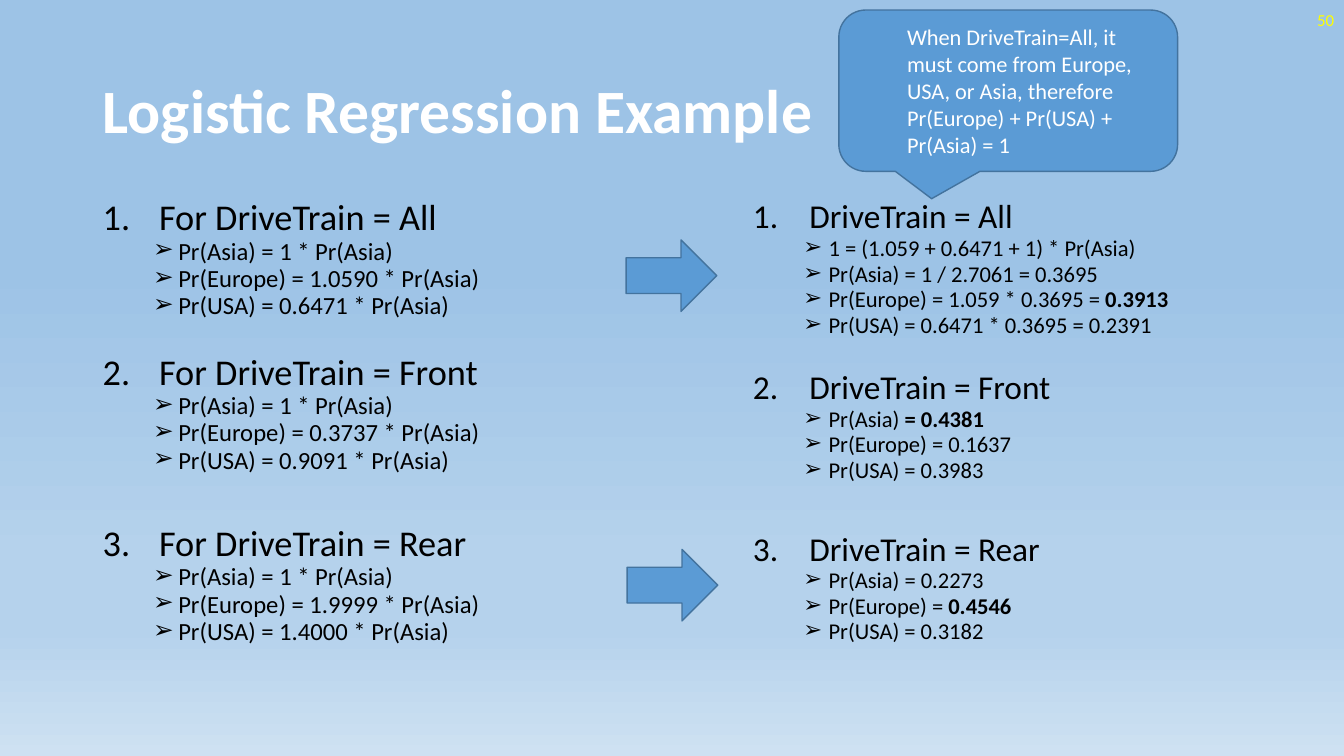
from dataclasses import dataclass

from lxml.etree import SubElement
from pptx import Presentation
from pptx.dml.color import RGBColor
from pptx.enum.shapes import MSO_SHAPE as Shape
from pptx.enum.text import MSO_ANCHOR as Anchor, PP_ALIGN as Align
from pptx.oxml.ns import qn
from pptx.util import Pt

PX = 9144


@dataclass(frozen=True)
class Theme:
    font: str = "Calibri"
    white: str = "FFFFFF"
    black: str = "000000"
    yellow: str = "FFFF00"
    fill: str = "5B9BD5"
    line: str = "43739E"
    backdrop: tuple = ((35, "9DC3E6"), (74, "B5D2EC"), (83, "B5D2EC"), (100, "CEE1F2"))
    title: float = 44
    callout: float = 16
    number: float = 12


@dataclass(frozen=True)
class ListStyle:
    heading: float
    item: float
    heading_gaps: tuple
    item_gap: float


THEME = Theme()
RATIO_STYLE = ListStyle(25.9, 17.6, (0, 30, 42), 4.7)
RESULT_STYLE = ListStyle(23.8, 16.1, (0, 28.8, 40.3), 4.8)

RATIOS = [
    (f"For DriveTrain = {drive}", [
        ("Pr(Asia) = 1 * Pr(Asia)", ""),
        (f"Pr(Europe) = {europe} * Pr(Asia)", ""),
        (f"Pr(USA) = {usa} * Pr(Asia)", ""),
    ])
    for drive, europe, usa in [
        ("All", "1.0590", "0.6471"),
        ("Front", "0.3737", "0.9091"),
        ("Rear", "1.9999", "1.4000"),
    ]
]
RESULTS = [
    ("DriveTrain = All", [
        ("1 = (1.059 + 0.6471 + 1) * Pr(Asia)", ""),
        ("Pr(Asia) = 1 / 2.7061 = 0.3695", ""),
        ("Pr(Europe) = 1.059 * 0.3695 = ", "0.3913"),
        ("Pr(USA) = 0.6471 * 0.3695 = 0.2391", ""),
    ]),
    ("DriveTrain = Front", [
        ("Pr(Asia) ", "= 0.4381"),
        ("Pr(Europe) = 0.1637", ""),
        ("Pr(USA) = 0.3983", ""),
    ]),
    ("DriveTrain = Rear", [
        ("Pr(Asia) = 0.2273", ""),
        ("Pr(Europe) = ", "0.4546"),
        ("Pr(USA) = 0.3182", ""),
    ]),
]
CALLOUT = ("When DriveTrain=All, it must come from Europe, USA, or Asia, "
           "therefore Pr(Europe) + Pr(USA) + Pr(Asia) = 1")


def emu(box):
    return [length * PX for length in box]


def style_runs(paragraph, size, color, bold=False):
    for run in paragraph.runs:
        run.font.name = THEME.font
        run.font.size = Pt(size)
        run.font.bold = bold
        run.font.color.rgb = RGBColor.from_string(color)


def set_indent(paragraph, left, first):
    properties = paragraph._p.get_or_add_pPr()
    properties.set("marL", str(left * PX))
    properties.set("indent", str(first * PX))
    return properties


def paint_background(slide):
    fill = slide.background.fill
    fill.gradient()
    fill.gradient_angle = 270
    stops = next(slide.element.iter(qn("a:gsLst")))
    stops.clear()
    for position, color in THEME.backdrop:
        stop = SubElement(stops, qn("a:gs"), pos=str(position * 1000))
        SubElement(stop, qn("a:srgbClr"), val=color)


def add_text(slide, box, anchor=Anchor.TOP):
    frame = slide.shapes.add_textbox(*emu(box)).text_frame
    frame.word_wrap = True
    frame.vertical_anchor = anchor
    return frame


def add_title(slide, box):
    frame = add_text(slide, box, Anchor.MIDDLE)
    frame.text = "Logistic Regression Example"
    paragraph = frame.paragraphs[0]
    paragraph.line_spacing = 0.9
    style_runs(paragraph, THEME.title, THEME.white, True)


def add_slide_number(slide, box):
    frame = add_text(slide, box, Anchor.MIDDLE)
    frame.text = "50"
    paragraph = frame.paragraphs[0]
    paragraph.alignment = Align.RIGHT
    style_runs(paragraph, THEME.number, THEME.yellow)


def add_blue_shape(slide, kind, box):
    shape = slide.shapes.add_shape(kind, *emu(box))
    shape.shadow.inherit = False
    shape.fill.solid()
    shape.fill.fore_color.rgb = RGBColor.from_string(THEME.fill)
    shape.line.color.rgb = RGBColor.from_string(THEME.line)
    shape.line.width = Pt(1)
    return shape


def add_callout(slide, box):
    shape = add_blue_shape(slide, Shape.ROUNDED_RECTANGULAR_CALLOUT, box)
    for index, value in enumerate((-0.226, 0.67, 0.167)):
        shape.adjustments[index] = value
    frame = shape.text_frame
    frame.word_wrap = True
    frame.vertical_anchor = Anchor.MIDDLE
    frame.text = CALLOUT
    paragraph = frame.paragraphs[0]
    paragraph.alignment = Align.LEFT
    paragraph.level = 1
    set_indent(paragraph, 50, 0)
    style_runs(paragraph, THEME.callout, THEME.white)


def add_heading(paragraph, text, gap, size):
    paragraph.text = text
    paragraph.line_spacing = 0.7
    paragraph.space_before = Pt(gap)
    properties = set_indent(paragraph, 56, -56)
    SubElement(properties, qn("a:buFont"), typeface="+mj-lt")
    SubElement(properties, qn("a:buAutoNum"), type="arabicPeriod")
    style_runs(paragraph, size, THEME.black)


def add_item(paragraph, text, strong, gap, size):
    paragraph.text = text
    paragraph.level = 1
    paragraph.line_spacing = 0.7
    paragraph.space_before = Pt(gap)
    properties = set_indent(paragraph, 75, -25)
    SubElement(properties, qn("a:buFont"), typeface="Arial")
    SubElement(properties, qn("a:buChar"), char="➢")
    if strong:
        paragraph.add_run().text = strong
    style_runs(paragraph, size, THEME.black)
    if strong:
        paragraph.runs[-1].font.bold = True


def add_outline(slide, box, groups, style):
    frame = add_text(slide, box)
    for index, (heading, items) in enumerate(groups):
        paragraph = frame.add_paragraph() if index else frame.paragraphs[0]
        add_heading(paragraph, heading, style.heading_gaps[index], style.heading)
        for text, strong in items:
            add_item(frame.add_paragraph(), text, strong, style.item_gap, style.item)


def main():
    presentation = Presentation()
    presentation.slide_width, presentation.slide_height = emu((1333, 750))
    slide = presentation.slides.add_slide(presentation.slide_layouts[6])
    paint_background(slide)
    add_title(slide, (92, 40, 1150, 145))
    add_slide_number(slide, (1033, 0, 300, 40))
    for left, top in ((621, 238), (622, 545)):
        add_blue_shape(slide, Shape.RIGHT_ARROW, (left, top, 90, 71))
    add_outline(slide, (92, 200, 496, 476), RATIOS, RATIO_STYLE)
    add_outline(slide, (737, 200, 496, 476), RESULTS, RESULT_STYLE)
    add_callout(slide, (832, 10, 336, 160))
    presentation.save("out.pptx")


if __name__ == "__main__":
    main()
